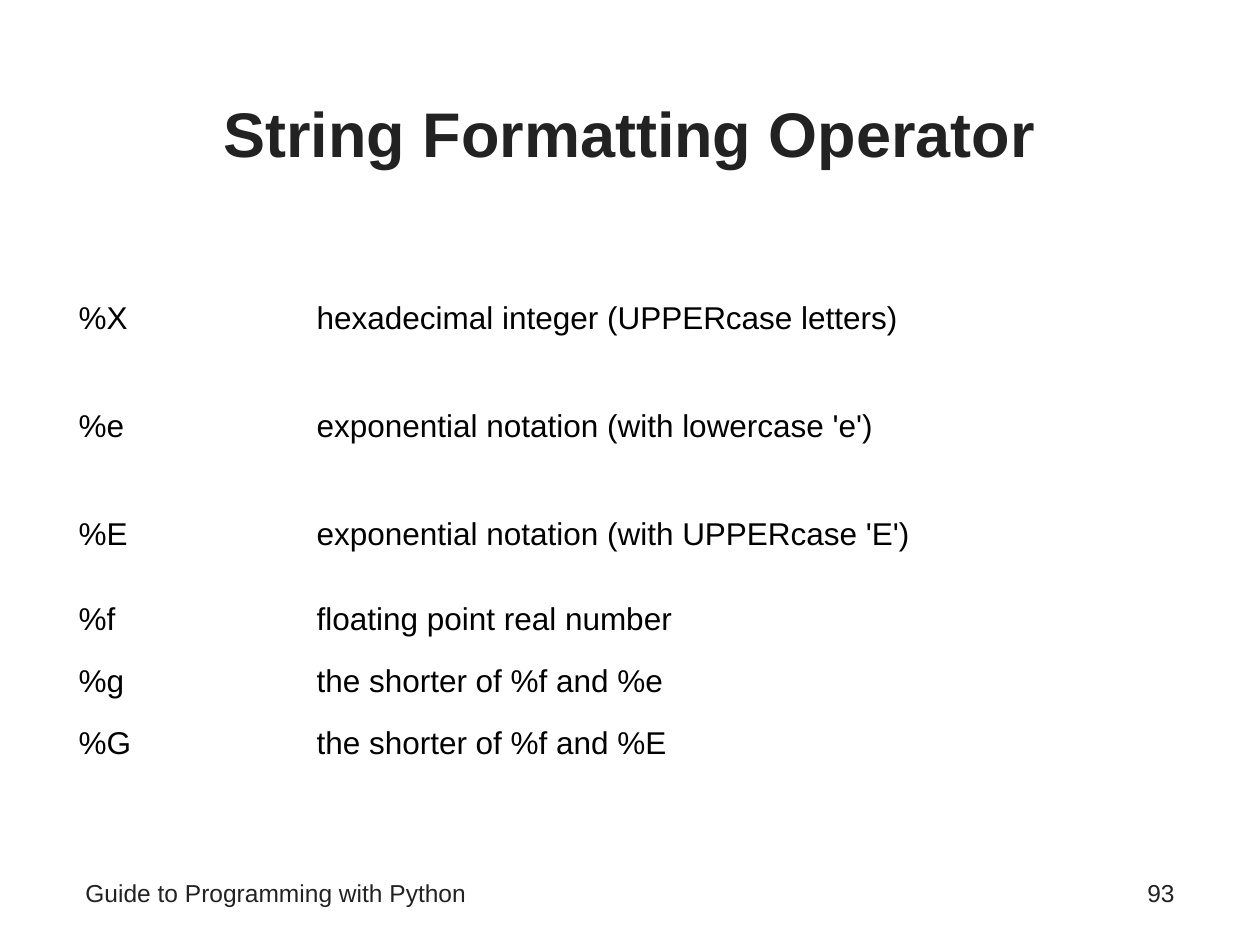
import pptx
import pptx.dml.color
import pptx.enum.text
import pptx.util

PX = 914400 / 126  # EMU in one px
FONT = "Arial"
COLORS = {"heading": "222222", "body": "000000"}
ALIGN = pptx.enum.text.PP_ALIGN
ANCHOR = pptx.enum.text.MSO_ANCHOR

COLUMN_WIDTHS = (238, 897)
TALL_ROW, SHORT_ROW = 108, 62
FORMAT_CODES = [
    ("%X", "hexadecimal integer (UPPERcase letters)", TALL_ROW),
    ("%e", "exponential notation (with lowercase 'e')", TALL_ROW),
    ("%E", "exponential notation (with UPPERcase 'E')", TALL_ROW),
    ("%f", "floating point real number", SHORT_ROW),
    ("%g", "the shorter of %f and %e", SHORT_ROW),
    ("%G", "the shorter of %f and %E", SHORT_ROW),
]


def px(n):
    return pptx.util.Emu(round(n * PX))


def set_text(tf, text, size, color, align=ALIGN.LEFT, bold=False):
    tf.text = text
    p = tf.paragraphs[0]
    p.alignment = align
    font = p.runs[0].font
    font.name = FONT
    font.size = pptx.util.Pt(size)
    font.bold = bold
    font.color.rgb = pptx.dml.color.RGBColor.from_string(COLORS[color])


def add_text(s, box, text, size, align=ALIGN.LEFT, bold=False, anchor=ANCHOR.TOP):
    tf = s.shapes.add_textbox(*map(px, box)).text_frame
    tf.word_wrap = True
    tf.vertical_anchor = anchor
    set_text(tf, text, size, "heading", align, bold)


def add_code_table(s, left, top):
    heights = [row[-1] for row in FORMAT_CODES]
    table = s.shapes.add_table(
        len(FORMAT_CODES), len(COLUMN_WIDTHS), px(left), px(top),
        px(sum(COLUMN_WIDTHS)), px(sum(heights))).table
    table.first_row = False
    table.horz_banding = False
    for column, width in zip(table.columns, COLUMN_WIDTHS):
        column.width = px(width)
    for row, (code, meaning, height) in zip(table.rows, FORMAT_CODES):
        row.height = px(height)
        for cell, text in zip(row.cells, (code, meaning)):
            cell.fill.background()
            cell.vertical_anchor = ANCHOR.MIDDLE
            set_text(cell.text_frame, text, 18, "body")


def main():
    prs = pptx.Presentation()
    prs.slide_width, prs.slide_height = px(1260), px(945)
    s = prs.slides.add_slide(prs.slide_layouts[6])

    # Title
    add_text(s, (73, 53, 1113, 158), "String Formatting Operator", 36,
             ALIGN.CENTER, bold=True, anchor=ANCHOR.MIDDLE)

    # Footer and page number
    add_text(s, (73, 872, 809, 53), "Guide to Programming with Python", 14)
    add_text(s, (903, 872, 284, 53), "93", 14, ALIGN.RIGHT)

    # Format codes and their meanings
    add_code_table(s, 66, 265)

    prs.save("out.pptx")


if __name__ == "__main__":
    main()
